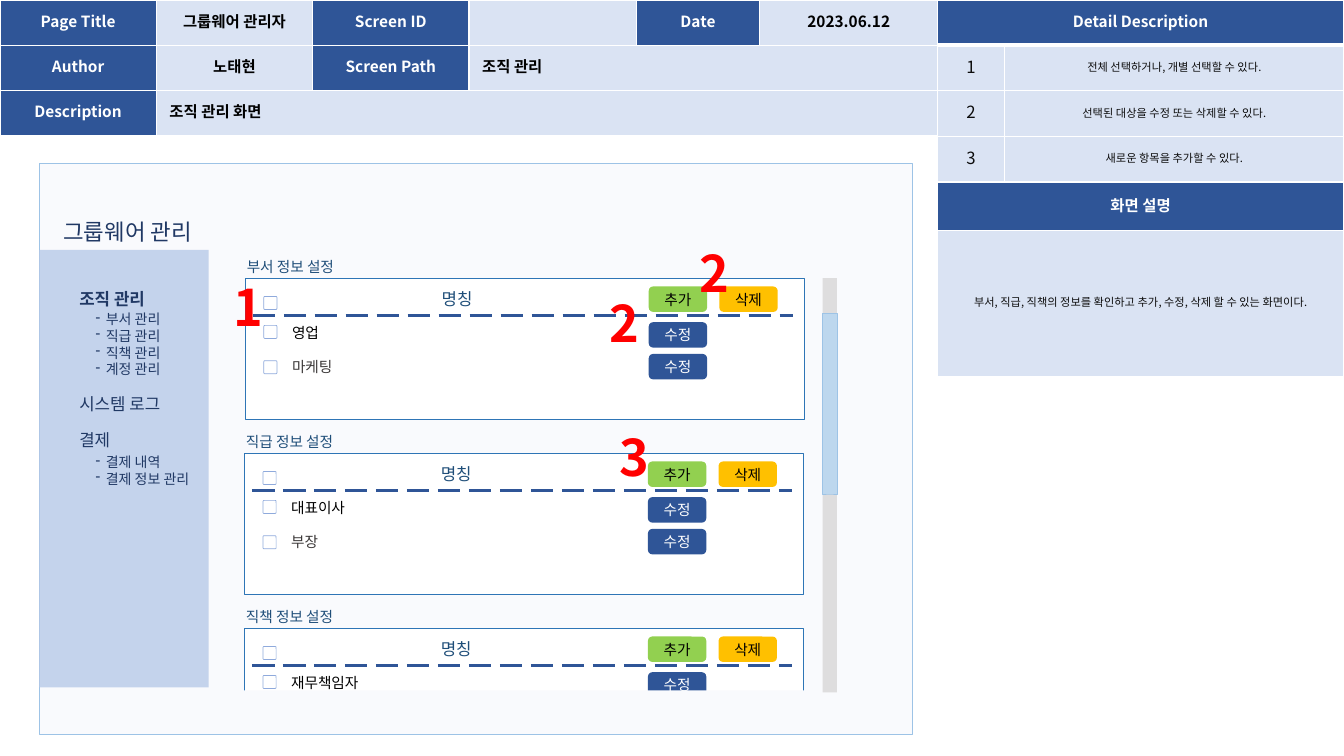
from lxml.etree import SubElement
from pptx import Presentation
from pptx.dml.color import RGBColor
from pptx.enum.dml import MSO_LINE
from pptx.enum.shapes import MSO_CONNECTOR, MSO_SHAPE
from pptx.enum.text import MSO_ANCHOR, PP_ALIGN
from pptx.oxml.ns import qn
from pptx.util import Cm, Pt

FONT = "Noto Sans CJK KR"
WHITE = RGBColor(0xFF, 0xFF, 0xFF)
BLACK = RGBColor(0, 0, 0)
INK = RGBColor(0x0D, 0x0D, 0x0D)
GRAY_INK = RGBColor(0x3B, 0x38, 0x38)
NAVY = RGBColor(0x20, 0x38, 0x64)
DEEP_BLUE = RGBColor(0x1F, 0x4E, 0x79)
BLUE = RGBColor(0x2F, 0x55, 0x97)
PALE_BLUE = RGBColor(0xDA, 0xE3, 0xF3)
CANVAS = RGBColor(0xF9, 0xFA, 0xFD)
CANVAS_EDGE = RGBColor(0x9D, 0xC3, 0xE6)
SIDEBAR = RGBColor(0xB4, 0xC7, 0xE7)
CARD_EDGE = RGBColor(0x2E, 0x75, 0xB6)
CHECK_EDGE = RGBColor(0x8F, 0xAA, 0xDC)
GREEN = RGBColor(0x92, 0xD0, 0x50)
AMBER = RGBColor(0xFF, 0xC0, 0x00)
TRACK = RGBColor(0xD0, 0xCE, 0xCE)
THUMB = RGBColor(0xBD, 0xD7, 0xEE)
RED = RGBColor(0xFF, 0, 0)


def write(para, text, size, color, bold=False, align=PP_ALIGN.LEFT, before=0):
    para.add_run().text = text
    para.alignment = align
    para.line_spacing = Pt(round(size * 1.2, 1))
    if before:
        para.space_before = Pt(before)
    font = para.font
    font.size, font.bold, font.name = Pt(size), bold, FONT
    font.color.rgb = color
    defaults = para._p.get_or_add_pPr().find(qn("a:defRPr"))
    SubElement(defaults, qn("a:ea"), typeface=FONT)


def add_text(page, box, lines, size, bullet=False):
    """Each line is (text, color, bold, space before)."""
    frame = page.shapes.add_textbox(*map(Cm, box)).text_frame
    frame.word_wrap = True
    for index, (text, color, bold, before) in enumerate(lines):
        para = frame.add_paragraph() if index else frame.paragraphs[0]
        if bullet:
            props = para._p.get_or_add_pPr()
            props.set("marL", str(Cm(0.26)))
            props.set("indent", str(-Cm(0.26)))
            SubElement(props, qn("a:buChar"), char="-")
        write(para, text, size, color, bold, before=before)


def add_block(page, box, fill=None, edge=None, width=0.5, corner=None, opacity=None):
    kind = MSO_SHAPE.RECTANGLE if corner is None else MSO_SHAPE.ROUNDED_RECTANGLE
    block = page.shapes.add_shape(kind, *map(Cm, box))
    block.shadow.inherit = False
    if corner is not None:
        block.adjustments[0] = corner
    if fill is None:
        block.fill.background()
    else:
        block.fill.solid()
        block.fill.fore_color.rgb = fill
    if opacity:
        color = block._element.spPr.find(qn("a:solidFill")).find(qn("a:srgbClr"))
        SubElement(color, qn("a:alpha"), val=str(opacity * 1000))
    if edge is None:
        block.line.fill.background()
    else:
        block.line.color.rgb = edge
        block.line.width = Pt(width)
    return block


def add_button(page, left, top, text, fill, color):
    frame = add_block(page, (left, top, 1.47, 0.64), fill, corner=0.17).text_frame
    frame.margin_left = frame.margin_right = frame.margin_top = frame.margin_bottom = 0
    frame.vertical_anchor = MSO_ANCHOR.MIDDLE
    write(frame.paragraphs[0], text, 10.5, color, align=PP_ALIGN.CENTER)


def add_grid(page, left, top, widths, heights, merges, heavy_row=None):
    """White-ruled table; the rule under heavy_row is thicker."""
    frame = page.shapes.add_table(len(heights), len(widths), Cm(left), Cm(top),
                                  Cm(sum(widths)), Cm(sum(heights)))
    table = frame.table
    table.first_row = table.horz_banding = False
    for column, width in zip(table.columns, widths):
        column.width = Cm(width)
    for index, (row, height) in enumerate(zip(table.rows, heights)):
        row.height = Cm(height)
        for cell in row.cells:
            props = cell._tc.get_or_add_tcPr()
            for side in ("lnL", "lnR", "lnT", "lnB"):
                heavy = heavy_row is not None and (side, index) in (
                    ("lnB", heavy_row), ("lnT", heavy_row + 1))
                line = SubElement(props, qn("a:" + side), w=str(Pt(3 if heavy else 1)))
                SubElement(SubElement(line, qn("a:solidFill")), qn("a:srgbClr"), val=str(WHITE))
            cell.fill.solid()
            cell.fill.fore_color.rgb = PALE_BLUE
    for row, first, last in merges:
        table.cell(row, first).merge(table.cell(row, last))
    return table


def fill_cell(cell, text, size, color, bold, align=PP_ALIGN.CENTER, label=False):
    cell.vertical_anchor = MSO_ANCHOR.MIDDLE
    cell.margin_left = cell.margin_right = Cm(0.33)
    cell.margin_top = cell.margin_bottom = Cm(0.12)
    if label:
        cell.fill.fore_color.rgb = BLUE
    write(cell.text_frame.paragraphs[0], text, size, color, bold, align)


def add_page_info(page, left, top):
    table = add_grid(page, left, top, (3.94, 3.94, 3.94, 4.22, 3.1, 4.5), (1.14,) * 3,
                     [(1, 3, 5), (2, 1, 5)])
    rows = (("Page Title", "그룹웨어 관리자", "Screen ID", "", "Date", "2023.06.12"),
            ("Author", "노태현", "Screen Path", "조직 관리"),
            ("Description", "조직 관리 화면"))
    wide_cells = {(1, 3), (2, 1)}
    for row, texts in enumerate(rows):
        for column, text in enumerate(texts):
            if text:
                label = column % 2 == 0
                align = PP_ALIGN.LEFT if (row, column) in wide_cells else PP_ALIGN.CENTER
                fill_cell(table.cell(row, column), text, 11, WHITE if label else BLACK,
                          True, align, label)


def add_details(page, left, top):
    table = add_grid(page, left, top, (1.7, 8.55), (1.14, 1.15, 1.15, 1.15, 1.22, 3.68),
                     [(0, 0, 1), (4, 0, 1), (5, 0, 1)], heavy_row=0)
    for row, text in ((0, "Detail Description"), (4, "화면 설명")):
        fill_cell(table.cell(row, 0), text, 11, WHITE, True, label=True)
    notes = ("전체 선택하거나, 개별 선택할 수 있다.", "선택된 대상을 수정 또는 삭제할 수 있다.",
             "새로운 항목을 추가할 수 있다.")
    for number, note in enumerate(notes, 1):
        fill_cell(table.cell(number, 0), str(number), 12, INK, False)
        fill_cell(table.cell(number, 1), note, 8, INK, False)
    fill_cell(table.cell(5, 0), "부서, 직급, 직책의 정보를 확인하고 추가, 수정, 삭제 할 수 있는 화면이다.",
              8, INK, False)


def add_sidebar(page, left, top, width, height):
    add_block(page, (left, top, width, height), SIDEBAR, opacity=76)
    add_text(page, (left + 0.76, top + 0.86, 3.4, 4.4),
             [("조직 관리", NAVY, True, 0), ("시스템 로그", NAVY, False, 60),
              ("결제", NAVY, False, 12)], 12)
    submenus = ((1.4, ("부서 관리", "직급 관리", "직책 관리", "계정 관리")),
                (5, ("결제 내역", "결제 정보 관리")))
    for offset, items in submenus:
        add_text(page, (left + 1.17, top + offset, 3.6, 0.25 + 0.42 * len(items)),
                 [(item, NAVY, False, 0) for item in items], 10, bullet=True)


def add_card(page, left, top, height, title, names):
    add_block(page, (left, top, 14.1, height), WHITE, CARD_EDGE, 0.25, corner=0)
    add_text(page, (left - 0.2, top - 0.64, 6.1, 0.74), [(title, DEEP_BLUE, False, 0)], 10.5)
    # Header row
    add_text(page, (left + 4.71, top + 0.15, 2.2, 0.76), [("명칭", DEEP_BLUE, False, 0)], 12)
    add_button(page, left + 10.18, top + 0.21, "추가", GREEN, BLACK)
    add_button(page, left + 11.96, top + 0.21, "삭제", AMBER, BLACK)
    rule = page.shapes.add_connector(MSO_CONNECTOR.STRAIGHT, Cm(left + 0.2), Cm(top + 0.94),
                                     Cm(left + 13.82), Cm(top + 0.94))
    rule.line.color.rgb = BLUE
    rule.line.width = Pt(0)
    rule.line.dash_style = MSO_LINE.LONG_DASH
    SubElement(rule._element.spPr, qn("a:effectLst"))
    # Item rows
    inks = (BLACK, GRAY_INK)
    add_text(page, (left + 0.94, top + 1.02, 6, 1.4),
             [(name, inks[row], False, 12 * row) for row, name in enumerate(names)], 10.5)
    checks = [0.46] + [1.19 + 0.89 * row for row in range(len(names))]
    for offset in checks:
        add_block(page, (left + 0.48, top + offset, 0.33, 0.33), edge=CHECK_EDGE, corner=0.08)
    for row in range(len(names)):
        add_button(page, left + 10.18, top + 1.11 + 0.8 * row, "수정", BLUE, WHITE)


def add_scrollbar(page, left, top, width, height):
    add_block(page, (left, top, width, height), TRACK, opacity=65)
    add_block(page, (left, top + 0.89, width, 4.55), THUMB, CANVAS_EDGE, 0.25)


def add_screen(page, left, top, width, height):
    add_block(page, (left, top, width, height), CANVAS, CANVAS_EDGE)
    add_text(page, (left + 0.36, top + 1.25, 8.3, 0.94), [("그룹웨어 관리", NAVY, False, 0)], 16)
    add_sidebar(page, left, top + 2.19, 4.27, 11.02)
    cards = ((5.18, 3.56, "부서 정보 설정", ("영업", "마케팅")),
             (5.16, 3.56, "직급 정보 설정", ("대표이사", "부장")),
             (5.16, 2.4, "직책 정보 설정", ("재무책임자",)))
    for index, (offset, card_height, title, names) in enumerate(cards):
        add_card(page, left + offset, top + 2.9 + 4.41 * index, card_height, title, names)
    # Lower edge of the scrolling area
    add_block(page, (left + 3.84, top + 13.29, 17.63, 0.96), CANVAS)
    add_scrollbar(page, left + 19.74, top + 2.9, 0.36, 10.44)
    # Red callout numbers
    for number, x, y in (("1", 4.65, 2.72), ("2", 14.12, 3.13), ("3", 14.38, 6.51),
                         ("2", 16.38, 1.86)):
        add_text(page, (left + x, top + y, 1.63, 1.8), [(number, RED, True, 0)], 36)


def main():
    deck = Presentation()
    deck.slide_width, deck.slide_height = Cm(33.87), Cm(19.05)
    page = deck.slides.add_slide(deck.slide_layouts[6])
    add_page_info(page, 0, 0)
    add_details(page, 23.62, 0)
    add_screen(page, 0.99, 4.11, 22, 14.4)
    deck.save("out.pptx")


if __name__ == "__main__":
    main()
